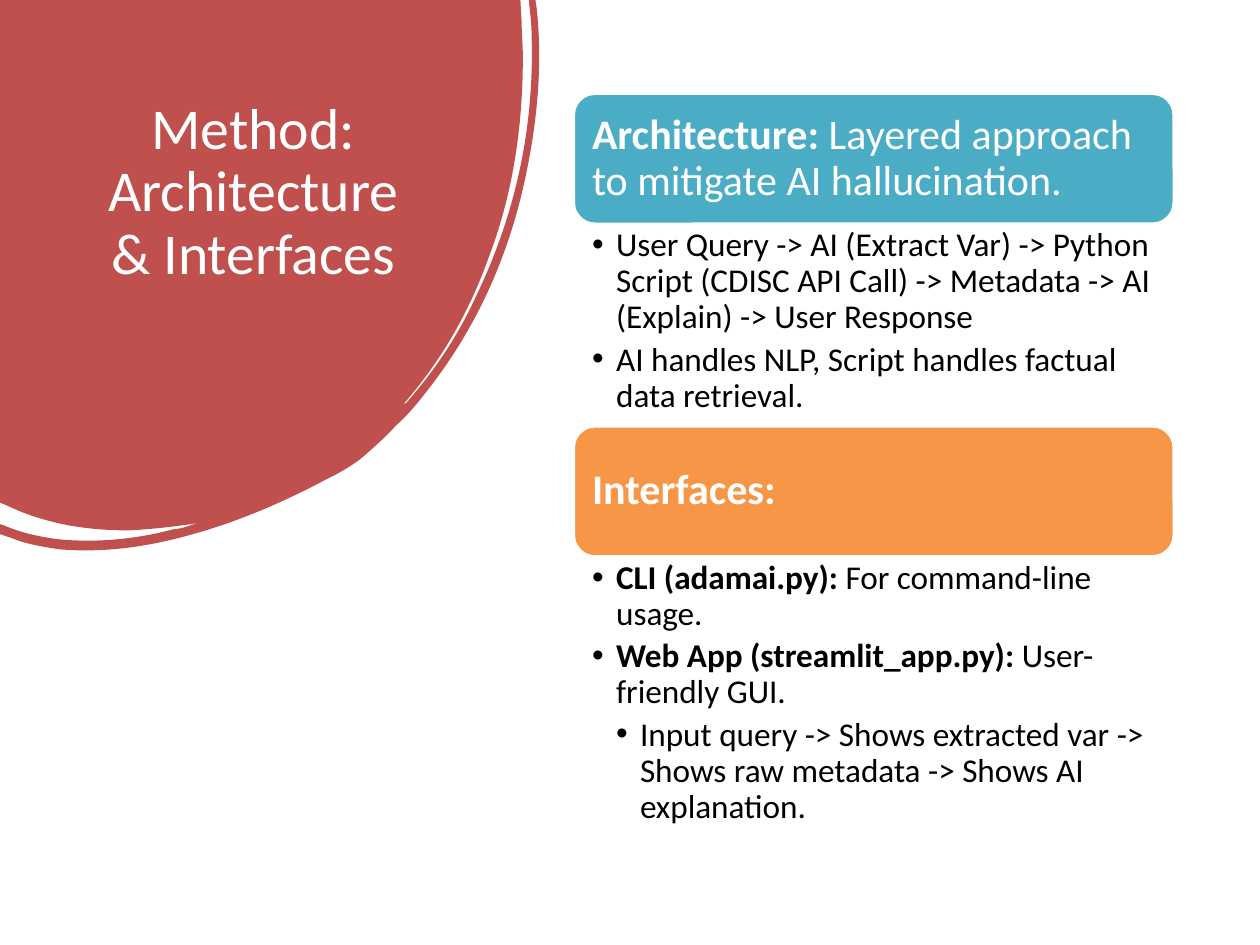
from lxml.etree import SubElement
from pptx import Presentation
from pptx.dml.color import RGBColor
from pptx.enum.shapes import MSO_SHAPE
from pptx.enum.text import MSO_ANCHOR, PP_ALIGN
from pptx.oxml.ns import qn
from pptx.util import Inches, Pt

FONT = "Calibri"
WHITE, BLACK, RED = "FFFFFF", "000000", "C0504D"
TITLE = "Method: Architecture & Interfaces"

# Header runs are (text, bold); bullets are (level, runs).
SECTIONS = [
    {"fill": "4BACC6", "body_height": 1.6,
     "header": [("Architecture:", True),
                (" Layered approach to mitigate AI hallucination.", False)],
     "bullets": [
         (1, [("User Query -> AI (Extract Var) -> Python Script (CDISC API Call)"
               " -> Metadata -> AI (Explain) -> User Response", False)]),
         (1, [("AI handles NLP, Script handles factual data retrieval.", False)])]},
    {"fill": "F79646", "body_height": 2.23,
     "header": [("Interfaces:", True)],
     "bullets": [
         (1, [("CLI (adamai.py):", True), (" For command-line usage.", False)]),
         (1, [("Web App (streamlit_app.py):", True), (" User-friendly GUI.", False)]),
         (2, [("Input query -> Shows extracted var -> Shows raw metadata"
               " -> Shows AI explanation.", False)])]},
]

# Outline of the brushed corner: two numbers end a line, six make a Bézier curve.
CORNER_SIZE = (4.28, 4.37)
CORNER = [
    (0, 0), (4.13, 0), (4.14, 0.17),
    (4.14, 0.26, 4.15, 0.36, 4.15, 0.45), (4.15, 1.01, 4.07, 1.54, 3.88, 2.04),
    (3.72, 2.49, 3.49, 2.88, 3.2, 3.21), (3.22, 3.21, 3.23, 3.19, 3.24, 3.18),
    (3.44, 2.95, 3.62, 2.69, 3.76, 2.39), (4.07, 1.76, 4.24, 1.07, 4.22, 0.3),
    (4.22, 0.21, 4.21, 0.12, 4.2, 0.03), (4.2, 0), (4.25, 0), (4.26, 0.07),
    (4.31, 0.54, 4.26, 1.02, 4.15, 1.5), (4, 2.14, 3.73, 2.68, 3.36, 3.14),
    (3.29, 3.23, 3.22, 3.31, 3.14, 3.38), (3.07, 3.46, 2.99, 3.53, 2.9, 3.61),
    (2.81, 3.69, 2.7, 3.75, 2.58, 3.81), (2.24, 3.99, 1.89, 4.14, 1.53, 4.24),
    (1.18, 4.34, 0.83, 4.39, 0.47, 4.36), (0.34, 4.34, 0.21, 4.32, 0.09, 4.27),
    (0, 4.24), (0, 4.16), (0.03, 4.17),
    (0.17, 4.23, 0.31, 4.26, 0.46, 4.28), (0.77, 4.31, 1.08, 4.28, 1.38, 4.2),
    (1.41, 4.2, 1.45, 4.19, 1.48, 4.18), (1.51, 4.17, 1.54, 4.16, 1.58, 4.15),
    (1.39, 4.18, 1.21, 4.2, 1.02, 4.21), (0.69, 4.21, 0.36, 4.16, 0.05, 4.01),
    (0, 3.99),
]

LEFT, TOP, WIDTH = 4.55, 0.74, 4.77
HEADER_HEIGHT = 1.04
INDENT = 0.19


def color(hex_code):
    return RGBColor.from_string(hex_code)


def set_frame(frame, margins, anchor=MSO_ANCHOR.TOP):
    frame.word_wrap = True
    frame.vertical_anchor = anchor
    (frame.margin_left, frame.margin_top,
     frame.margin_right, frame.margin_bottom) = map(Inches, margins)


def write(paragraph, runs, size, text_color, align=PP_ALIGN.LEFT):
    paragraph.alignment = align
    paragraph.line_spacing = 0.9
    for text, bold in runs:
        run = paragraph.add_run()
        run.text = text
        font = run.font
        font.name, font.size, font.bold = FONT, Pt(size), bold
        font.color.rgb = color(text_color)


def add_bullet(paragraph, level):
    paragraph.level = level
    paragraph.space_after = Pt(3.8)
    properties = paragraph._p.get_or_add_pPr()
    properties.set("marL", str(Inches(INDENT * level)))
    properties.set("indent", str(Inches(-INDENT)))
    SubElement(properties, qn("a:buFont"), typeface="Arial")
    SubElement(properties, qn("a:buChar"), char="•")


def bend(outline, steps):
    """Turn the straight segments of outline into curves where steps has them."""
    for segment, step in zip(list(outline.iter(qn("a:lnTo"))), steps):
        if len(step) == 6:
            segment.tag = qn("a:cubicBezTo")
            for point in list(segment):
                segment.remove(point)
            for x, y in zip(step[::2], step[1::2]):
                SubElement(segment, qn("a:pt"), x=str(Inches(x)), y=str(Inches(y)))


def add_corner(shapes):
    ends = [tuple(map(Inches, step[-2:])) for step in CORNER]
    builder = shapes.build_freeform(*ends[0])
    builder.add_line_segments(ends[1:], close=True)
    corner = builder.convert_to_shape()
    corner.width, corner.height = map(Inches, CORNER_SIZE)
    outline = next(corner._element.iter(qn("a:path")))
    outline.set("w", str(corner.width))
    outline.set("h", str(corner.height))
    bend(outline, CORNER[1:])
    corner.shadow.inherit = False
    corner.fill.solid()
    corner.fill.fore_color.rgb = color(RED)
    corner.line.fill.background()


def add_title(shapes):
    title = shapes.add_textbox(*map(Inches, (0.69, 0.74, 2.64, 2.22))).text_frame
    set_frame(title, (0.1, 0.05, 0.1, 0.05))
    write(title.paragraphs[0], [(TITLE, False)], 33, WHITE, PP_ALIGN.CENTER)


def add_section(shapes, section, top):
    """Draw a header with its bullets and return the bottom edge."""
    header = shapes.add_shape(MSO_SHAPE.ROUNDED_RECTANGLE,
                              *map(Inches, (LEFT, top, WIDTH, HEADER_HEIGHT)))
    header.shadow.inherit = False
    header.fill.solid()
    header.fill.fore_color.rgb = color(section["fill"])
    header.line.color.rgb = color(WHITE)
    header.line.width = Pt(2)
    set_frame(header.text_frame, (0.1,) * 4, MSO_ANCHOR.MIDDLE)
    write(header.text_frame.paragraphs[0], section["header"], 24, WHITE)

    top += HEADER_HEIGHT
    body = shapes.add_textbox(
        *map(Inches, (LEFT, top, WIDTH, section["body_height"]))).text_frame
    set_frame(body, (0.15, 0.03, 0.19, 0.03))
    for i, (level, runs) in enumerate(section["bullets"]):
        paragraph = body.add_paragraph() if i else body.paragraphs[0]
        write(paragraph, runs, 19, BLACK)
        add_bullet(paragraph, level)
    return top + section["body_height"]


def main():
    deck = Presentation()
    deck.slide_width, deck.slide_height = Inches(10), Inches(7.5)
    shapes = deck.slides.add_slide(deck.slide_layouts[6]).shapes
    add_corner(shapes)
    add_title(shapes)
    sections = shapes.add_group_shape().shapes
    top = TOP
    for section in SECTIONS:
        top = add_section(sections, section, top)
    deck.save("out.pptx")


if __name__ == "__main__":
    main()
